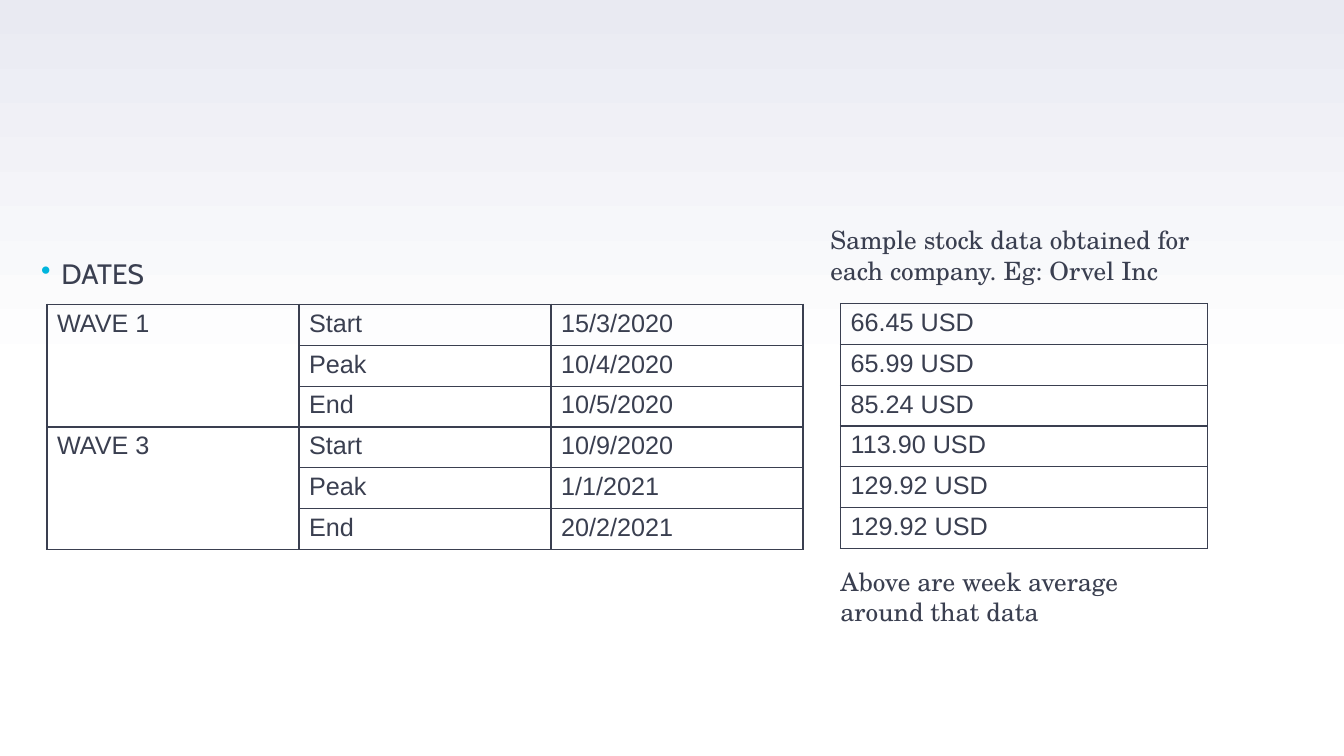
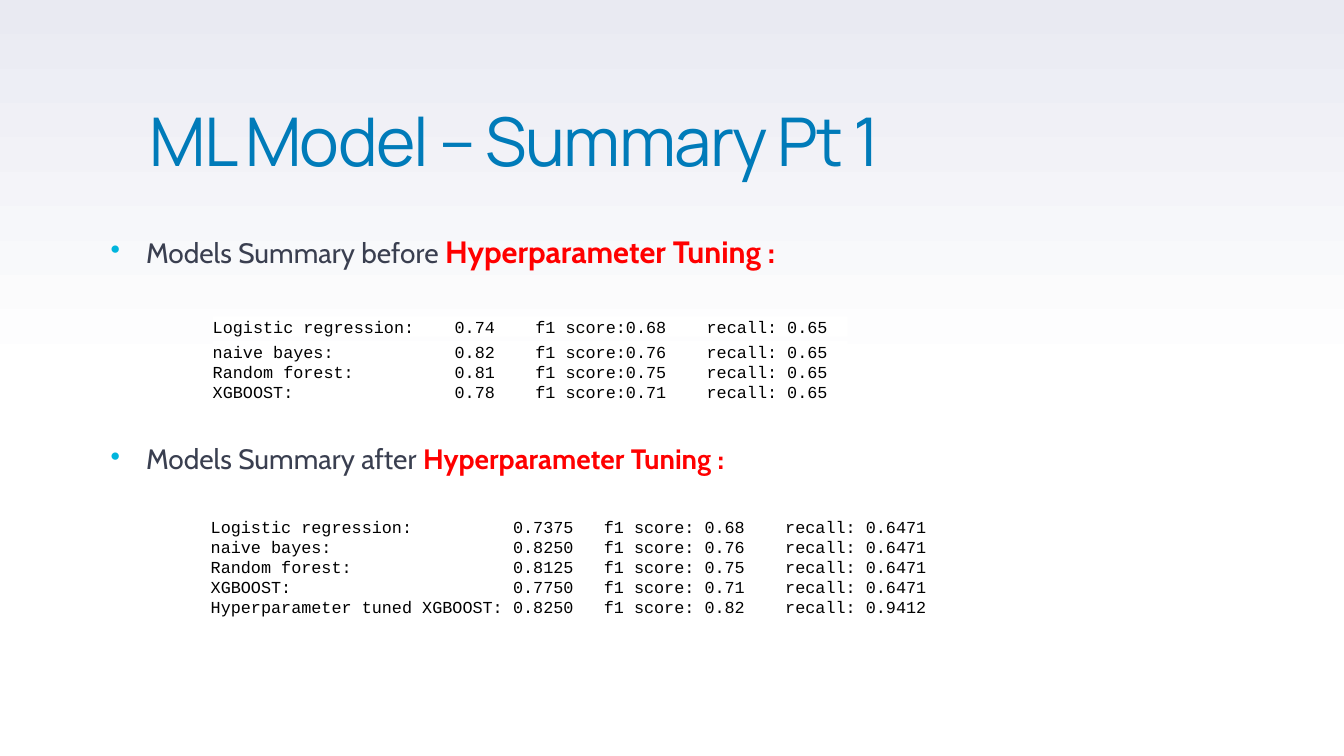
"""Build two slides on wave dates, sample stock data and model scores."""
from pptx import Presentation
from pptx.dml.color import RGBColor
from pptx.enum.shapes import MSO_SHAPE
from pptx.enum.text import MSO_ANCHOR, PP_ALIGN
from pptx.oxml import parse_xml
from pptx.oxml.ns import nsdecls, qn
from pptx.util import Pt

INK = RGBColor(0x3A, 0x3F, 0x50)
BLUE = RGBColor(0x00, 0x7B, 0xB9)
CYAN = RGBColor(0x00, 0xB5, 0xDD)
RED = RGBColor(0xFF, 0x00, 0x00)
BLACK = RGBColor(0x00, 0x00, 0x00)
WHITE = RGBColor(0xFF, 0xFF, 0xFF)
HAZE = RGBColor(0xE9, 0xEA, 0xF2)

TITLE = {"name": "Manrope", "size": Pt(48), "bold": False, "rgb": BLUE}
BODY = {"name": "Cabin", "size": Pt(20), "bold": False, "rgb": INK}
STRONG = {**BODY, "bold": True, "rgb": RED}
CELL = {"name": "Arial", "size": Pt(18), "bold": False, "rgb": INK}
NOTE = {**CELL, "name": "TeX Gyre Schola"}
CODE = {"name": "Courier New", "size": Pt(12), "bold": False, "rgb": BLACK}

CODE_CHARACTER = 7.2
ROW_HEIGHT = 29.2

WAVES = [
    ("WAVE 1", "Start", "15/3/2020"),
    ("", "Peak", "10/4/2020"),
    ("", "End", "10/5/2020"),
    ("WAVE 3", "Start", "10/9/2020"),
    ("", "Peak", "1/1/2021"),
    ("", "End", "20/2/2021"),
]
PRICES = [(f"{price} USD",) for price in
          ("66.45", "65.99", "85.24", "113.90", "129.92", "129.92")]
SCORES_BEFORE = [
    ("Logistic regression:", "0.74", "f1 score:0.68", "recall: 0.65"),
    ("naive bayes:", "0.82", "f1 score:0.76", "recall: 0.65"),
    ("Random forest:", "0.81", "f1 score:0.75", "recall: 0.65"),
    ("XGBOOST:", "0.78", "f1 score:0.71", "recall: 0.65"),
]
SCORES_AFTER = [
    ("Logistic regression:", "0.7375", "f1 score: 0.68", "recall: 0.6471"),
    ("naive bayes:", "0.8250", "f1 score: 0.76", "recall: 0.6471"),
    ("Random forest:", "0.8125", "f1 score: 0.75", "recall: 0.6471"),
    ("XGBOOST:", "0.7750", "f1 score: 0.71", "recall: 0.6471"),
    ("Hyperparameter tuned XGBOOST:", "0.8250", "f1 score: 0.82",
     "recall: 0.9412"),
]


def set_values(target, values):
    """Set each named attribute of the target."""
    for name, value in values.items():
        setattr(target, name, value)


def place(left, top, width, height):
    """Return a position and size given in points."""
    return {"left": Pt(left), "top": Pt(top),
            "width": Pt(width), "height": Pt(height)}


def add_span(para, text, style):
    """Add one run of formatted text."""
    span = para.add_run()
    span.text = text
    for name, value in style.items():
        if name == "rgb":
            span.font.color.rgb = value
        else:
            setattr(span.font, name, value)
    return span


def add_paras(frame, lines, style):
    """Write one left-aligned paragraph for each line."""
    paras = [frame.paragraphs[0]]
    paras += [frame.add_paragraph() for _ in lines[1:]]
    for para, line in zip(paras, lines):
        para.alignment = PP_ALIGN.LEFT
        add_span(para, line, style)
    return paras


def add_box(page, area):
    """Add a wrapping text box and return its text frame."""
    frame = page.shapes.add_textbox(**area).text_frame
    frame.word_wrap = True
    return frame


def add_bullet(page, area, spans, margin, hanging):
    """Add a bulleted line made of differently styled spans."""
    para = add_box(page, area).paragraphs[0]
    para.line_spacing = 0.95
    for text, style in spans:
        add_span(para, text, style)
    properties = para._p.get_or_add_pPr()
    properties.set("marL", str(Pt(margin)))
    properties.set("indent", str(-Pt(hanging)))
    properties.append(parse_xml(
        f'<a:buClr {nsdecls("a")}><a:srgbClr val="{CYAN}"/></a:buClr>'))
    properties.append(parse_xml(f'<a:buChar {nsdecls("a")} char="•"/>'))


def add_borders(cell):
    """Draw a thin line on all four sides of a cell."""
    properties = cell._tc.get_or_add_tcPr()
    for position, side in enumerate(("lnL", "lnR", "lnT", "lnB")):
        properties.insert(position, parse_xml(
            f'<a:{side} {nsdecls("a")} w="{Pt(1)}"><a:solidFill>'
            f'<a:srgbClr val="{INK}"/></a:solidFill></a:{side}>'))


def add_grid(page, left, top, column_width, rows, merge_rows=0):
    """Add a bordered table, merging the first column in equal groups."""
    columns = len(rows[0])
    area = place(left, top, column_width * columns, ROW_HEIGHT * len(rows))
    table = page.shapes.add_table(len(rows), columns, **area).table
    set_values(table, {"first_row": False, "horz_banding": False})
    for row_number, row in enumerate(rows):
        for column_number, text in enumerate(row):
            cell = table.cell(row_number, column_number)
            cell.fill.background()
            add_borders(cell)
            if text:
                add_paras(cell.text_frame, [text], CELL)
    if merge_rows:
        for first in range(0, len(rows), merge_rows):
            table.cell(first, 0).merge(table.cell(first + merge_rows - 1, 0))


def add_scores(page, area, rows, stops):
    """Add a white panel of scores aligned at character columns."""
    panel = page.shapes.add_shape(MSO_SHAPE.RECTANGLE, **area)
    panel.shadow.inherit = False
    panel.fill.solid()
    panel.fill.fore_color.rgb = WHITE
    panel.line.fill.background()
    set_values(panel.text_frame, {
        "word_wrap": True, "vertical_anchor": MSO_ANCHOR.MIDDLE,
        "margin_left": 0, "margin_right": 0,
        "margin_top": 0, "margin_bottom": 0})
    tabs = "".join(f'<a:tab pos="{Pt(stop * CODE_CHARACTER)}" algn="l"/>'
                   for stop in stops)
    lines = ["\t".join(row) for row in rows]
    for para in add_paras(panel.text_frame, lines, CODE):
        para._p.get_or_add_pPr().append(
            parse_xml(f'<a:tabLst {nsdecls("a")}>{tabs}</a:tabLst>'))


def set_background(master):
    """Give all slides a gradient from white up to pale lilac."""
    fill = master.background.fill
    fill.gradient()
    fill.gradient_angle = 90
    stops = master.element.find(f'.//{qn("a:gsLst")}')
    for stop in list(stops):
        stops.remove(stop)
    for percent, color in ((0, WHITE), (50, WHITE), (100, HAZE)):
        stops.append(parse_xml(
            f'<a:gs {nsdecls("a")} pos="{percent * 1000}">'
            f'<a:srgbClr val="{color}"/></a:gs>'))


def set_title(page, text):
    """Place and format the title placeholder."""
    title = page.shapes.title
    set_values(title, place(99.4, 28.8, 763.2, 104.4))
    set_values(title.text_frame, {
        "word_wrap": True, "vertical_anchor": MSO_ANCHOR.BOTTOM})
    para = title.text_frame.paragraphs[0]
    set_values(para, {"alignment": PP_ALIGN.LEFT, "line_spacing": 0.9})
    span = add_span(para, text, TITLE)
    span._r.get_or_add_rPr().set("spc", "-120")


def build_dates(deck):
    """Build the slide with wave dates and stock prices."""
    page = deck.slides.add_slide(deck.slide_layouts[6])
    add_bullet(page, place(22.3, 181.4, 400, 34), [("DATES", BODY)], 14.4, 14.4)
    add_grid(page, 33.6, 217.4, 180, WAVES, merge_rows=3)
    add_grid(page, 600.4, 216.7, 262.1, PRICES)
    notes = [
        (place(586, 157, 280, 51),
         ["Sample stock data obtained for", "each company. Eg: Orvel Inc"]),
        (place(593.3, 401, 222, 51),
         ["Above are week average", "around that data"]),
    ]
    for area, lines in notes:
        add_paras(add_box(page, area), lines, NOTE)


def build_summary(deck):
    """Build the slide with model scores before and after tuning."""
    page = deck.slides.add_slide(deck.slide_layouts[5])
    set_title(page, "ML Model – Summary Pt 1")
    for moment, top, size in (("before", 164.9, 22), ("after", 313.9, 20)):
        spans = [(f"Models Summary {moment} ", BODY),
                 ("Hyperparameter Tuning :", {**STRONG, "size": Pt(size)})]
        add_bullet(page, place(61.2, top, 838, 36), spans, 36, 25.2)
    before_stops = (24, 32, 49)
    add_scores(page, place(152, 226.1, 453.6, 14.4),
               SCORES_BEFORE[:1], before_stops)
    add_scores(page, place(152, 243.4, 453.6, 43.9),
               SCORES_BEFORE[1:], before_stops)
    add_scores(page, place(150.5, 368.6, 809.5, 72.7),
               SCORES_AFTER, (30, 39, 57))


def main():
    """Build and save the deck."""
    deck = Presentation()
    set_values(deck, {"slide_width": Pt(960), "slide_height": Pt(540)})
    set_background(deck.slide_master)
    build_dates(deck)
    build_summary(deck)
    deck.save("out.pptx")


if __name__ == "__main__":
    main()
